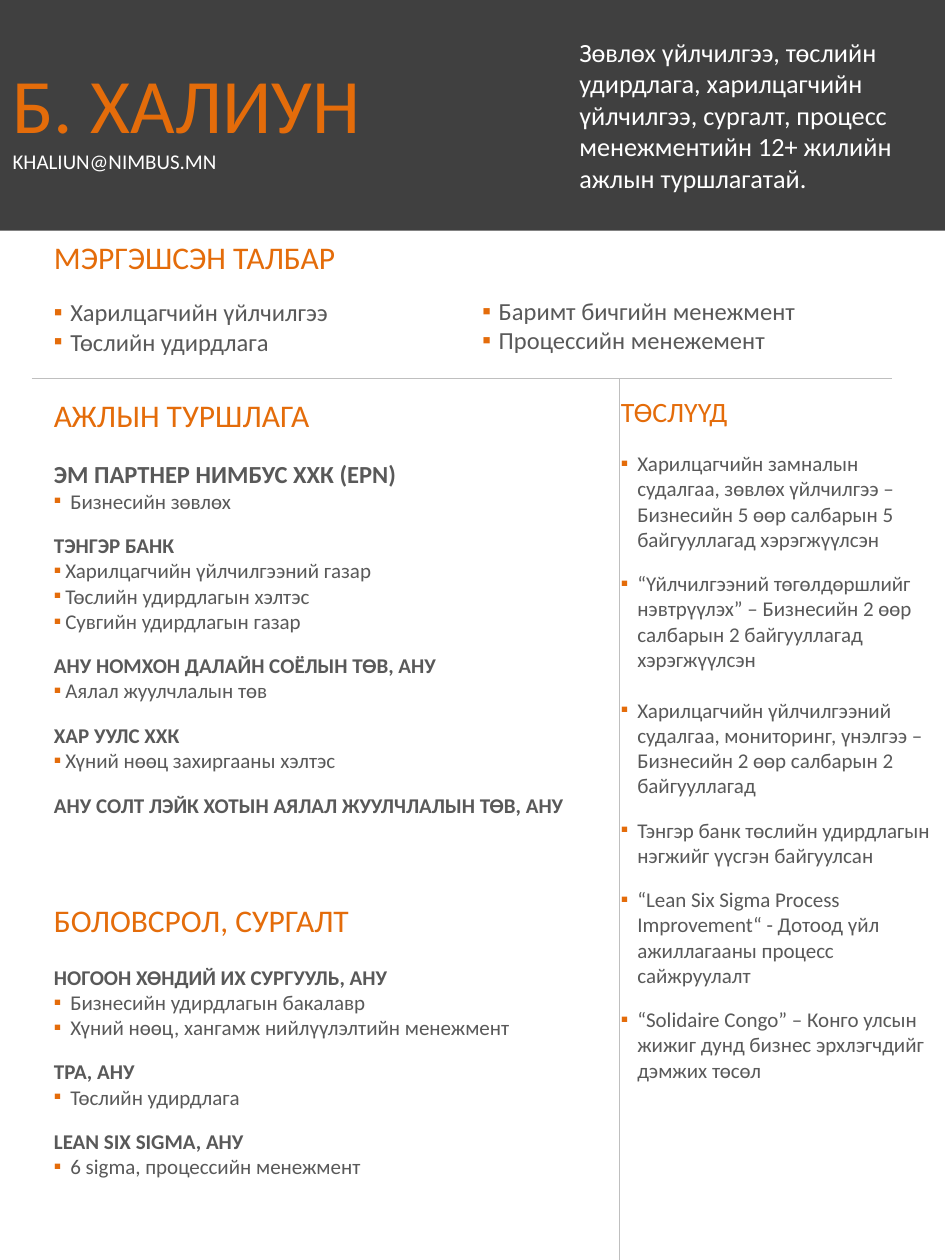
from dataclasses import dataclass
from typing import Optional

from lxml.etree import SubElement
from pptx import Presentation
from pptx.dml.color import RGBColor
from pptx.enum.shapes import MSO_CONNECTOR as Connector
from pptx.enum.text import MSO_ANCHOR as Anchor, MSO_AUTO_SIZE as AutoSize, PP_ALIGN as Align
from pptx.oxml.ns import qn
from pptx.slide import Slide
from pptx.text.text import TextFrame, _Paragraph as Paragraph
from pptx.util import Inches, Pt

COLORS = {"band": "404040", "accent": "E46C0A", "body": "595959",
          "rule": "BFBFBF", "white": "FFFFFF"}
FONT = "Calibri"
WIDE, NARROW = 0.13, 0.09
SMALL_GAP, MEDIUM_GAP, LARGE_GAP = 11, 13, 14.6


@dataclass
class Line:
    """One paragraph of the resume; hang is the bullet's hanging indent in inches."""
    text: str
    size: float = 12
    color: str = "body"
    bold: bool = False
    hang: Optional[float] = None
    before: float = 0


@dataclass
class Section:
    """A text box with its lines."""
    left: float
    top: float
    width: float
    height: float
    lines: list[Line]
    inset_top: float = 0.05
    grows: bool = True


def heading(text: str, size: float = 18) -> Line:
    """Return a section heading."""
    return Line(text, size, "accent")


def employer(text: str, size: float = 12, before: float = SMALL_GAP) -> Line:
    """Return a bold employer or school line."""
    return Line(text, size, bold=True, before=before)


def bullet(text: str, hang: float = WIDE, size: float = 12, before: float = 0) -> Line:
    """Return a bulleted line."""
    return Line(text, size, hang=hang, before=before)


def rgb(name: str) -> RGBColor:
    """Look up a named colour."""
    return RGBColor.from_string(COLORS[name])


def add_bullet(paragraph: Paragraph, hang: float) -> None:
    """Give a paragraph a square bullet and a hanging indent."""
    properties = paragraph._p.get_or_add_pPr()
    properties.set("marL", str(Inches(hang)))
    properties.set("indent", str(-Inches(hang)))
    color = SubElement(properties, qn("a:buClr"))
    SubElement(color, qn("a:srgbClr"), val=COLORS["accent"])
    SubElement(properties, qn("a:buFont"), typeface=FONT)
    SubElement(properties, qn("a:buChar"), char="▪")


def style_run(run, size: float, color: str, bold: bool = False) -> None:
    """Set the font of a run."""
    run.font.name = FONT
    run.font.size = Pt(size)
    run.font.bold = bold
    run.font.color.rgb = rgb(color)


def write_lines(text_frame: TextFrame, lines: list[Line]) -> None:
    """Fill a text frame with formatted lines."""
    text_frame.text = "\n".join(line.text for line in lines)
    for paragraph, line in zip(text_frame.paragraphs, lines):
        paragraph.space_before = Pt(line.before)
        if line.hang is not None:
            add_bullet(paragraph, line.hang)
        for run in paragraph.runs:
            style_run(run, line.size, line.color, line.bold)


def add_section(slide: Slide, section: Section) -> None:
    """Draw one section."""
    box = slide.shapes.add_textbox(Inches(section.left), Inches(section.top),
                                   Inches(section.width), Inches(section.height))
    text_frame = box.text_frame
    text_frame.word_wrap = True
    text_frame.margin_top = Inches(section.inset_top)
    if section.grows:
        text_frame.auto_size = AutoSize.SHAPE_TO_FIT_TEXT
    else:
        text_frame.vertical_anchor = Anchor.MIDDLE
    write_lines(text_frame, section.lines)


def add_rule(slide: Slide, left: float, top: float, right: float, bottom: float) -> None:
    """Draw a thin dividing line."""
    rule = slide.shapes.add_connector(Connector.STRAIGHT, Inches(left), Inches(top),
                                      Inches(right), Inches(bottom))
    rule.line.color.rgb = rgb("rule")
    rule.line.width = Pt(0.5)
    SubElement(rule._element.spPr, qn("a:effectLst"))


def format_title(slide: Slide) -> None:
    """Turn the title placeholder into the dark name band."""
    title = slide.shapes.title
    title.left, title.top = Inches(0), Inches(0)
    title.width, title.height = Inches(7.5), Inches(1.83)
    title.fill.solid()
    title.fill.fore_color.rgb = rgb("band")
    text_frame = title.text_frame
    text_frame.auto_size = AutoSize.NONE
    text_frame.vertical_anchor = Anchor.MIDDLE
    paragraph = text_frame.paragraphs[0]
    paragraph.text = "Б. ХАЛИУН\vKHALIUN@NIMBUS.MN"
    paragraph.alignment = Align.LEFT
    name, email = paragraph.runs
    style_run(name, 44, "accent")
    style_run(email, 12, "white")


SECTIONS = [
    Section(0.33, 3.09, 4.5, 3.47, [
        heading("АЖЛЫН ТУРШЛАГА"),
        employer("ЭМ ПАРТНЕР НИМБУС ХХК (EPN)", 14, LARGE_GAP),
        bullet("Бизнесийн зөвлөх"),
        employer("ТЭНГЭР БАНК"),
        bullet("Харилцагчийн үйлчилгээний газар", NARROW),
        bullet("Төслийн удирдлагын хэлтэс", NARROW),
        bullet("Сувгийн удирдлагын газар", NARROW),
        employer("АНУ НОМХОН ДАЛАЙН СОЁЛЫН ТӨВ, АНУ"),
        bullet("Аялал жуулчлалын төв", NARROW),
        employer("ХАР УУЛС ХХК"),
        bullet("Хүний нөөц захиргааны хэлтэс", NARROW),
        employer("АНУ СОЛТ ЛЭЙК ХОТЫН АЯЛАЛ ЖУУЛЧЛАЛЫН ТӨВ, АНУ"),
    ]),
    Section(0.33, 7.1, 4.5, 2.39, [
        heading("БОЛОВСРОЛ, СУРГАЛТ"),
        employer("НОГООН ХӨНДИЙ ИХ СУРГУУЛЬ, АНУ", before=LARGE_GAP),
        bullet("Бизнесийн удирдлагын бакалавр"),
        bullet("Хүний нөөц, хангамж нийлүүлэлтийн менежмент"),
        employer("TPA, АНУ"),
        bullet("Төслийн удирдлага"),
        employer("LEAN SIX SIGMA, АНУ"),
        bullet("6 sigma, процессийн менежмент"),
    ]),
    Section(4.83, 3.08, 2.67, 5.92, [
        heading("ТӨСЛҮҮД", 16),
        bullet("Харилцагчийн замналын судалгаа, зөвлөх үйлчилгээ – "
               "Бизнесийн 5 өөр салбарын 5 байгууллагад хэрэгжүүлсэн", before=MEDIUM_GAP),
        bullet("“Үйлчилгээний төгөлдөршлийг нэвтрүүлэх” – "
               "Бизнесийн 2 өөр салбарын 2 байгууллагад хэрэгжүүлсэн", before=SMALL_GAP),
        bullet("Харилцагчийн үйлчилгээний судалгаа, мониторинг, үнэлгээ – "
               "Бизнесийн 2 өөр салбарын 2 байгууллагад", before=LARGE_GAP),
        bullet("Тэнгэр банк төслийн удирдлагын нэгжийг үүсгэн байгуулсан", before=SMALL_GAP),
        bullet("“Lean Six Sigma Process Improvement“ - "
               "Дотоод үйл ажиллагааны процесс сайжруулалт", before=SMALL_GAP),
        bullet("“Solidaire Congo” – Конго улсын жижиг дунд бизнес "
               "эрхлэгчдийг дэмжих төсөл", before=SMALL_GAP),
    ]),
    Section(0.33, 1.84, 3.08, 1.06, [
        heading("МЭРГЭШСЭН ТАЛБАР"),
        bullet("Харилцагчийн үйлчилгээ", size=14, before=12.2),
        bullet("Төслийн удирдлага", size=14),
    ]),
    Section(3.73, 1.83, 3.08, 1.06, [
        bullet("Баримт бичгийн менежмент", size=14),
        bullet("Процессийн менежемент", size=14),
    ], inset_top=0.52),
    Section(4.5, -0.01, 3, 1.84, [
        Line("Зөвлөх үйлчилгээ, төслийн удирдлага, харилцагчийн үйлчилгээ, сургалт, "
             "процесс менежментийн 12+ жилийн ажлын туршлагатай.", 15, "white"),
    ], grows=False),
]


def main() -> None:
    """Build the resume slide."""
    presentation = Presentation()
    presentation.slide_width, presentation.slide_height = Inches(7.5), Inches(10)
    slide = presentation.slides.add_slide(presentation.slide_layouts[5])
    format_title(slide)
    add_rule(slide, 0.25, 3, 7.08, 3)
    add_rule(slide, 4.92, 3, 4.92, 10)
    for section in SECTIONS:
        add_section(slide, section)
    presentation.save("out.pptx")


main()
